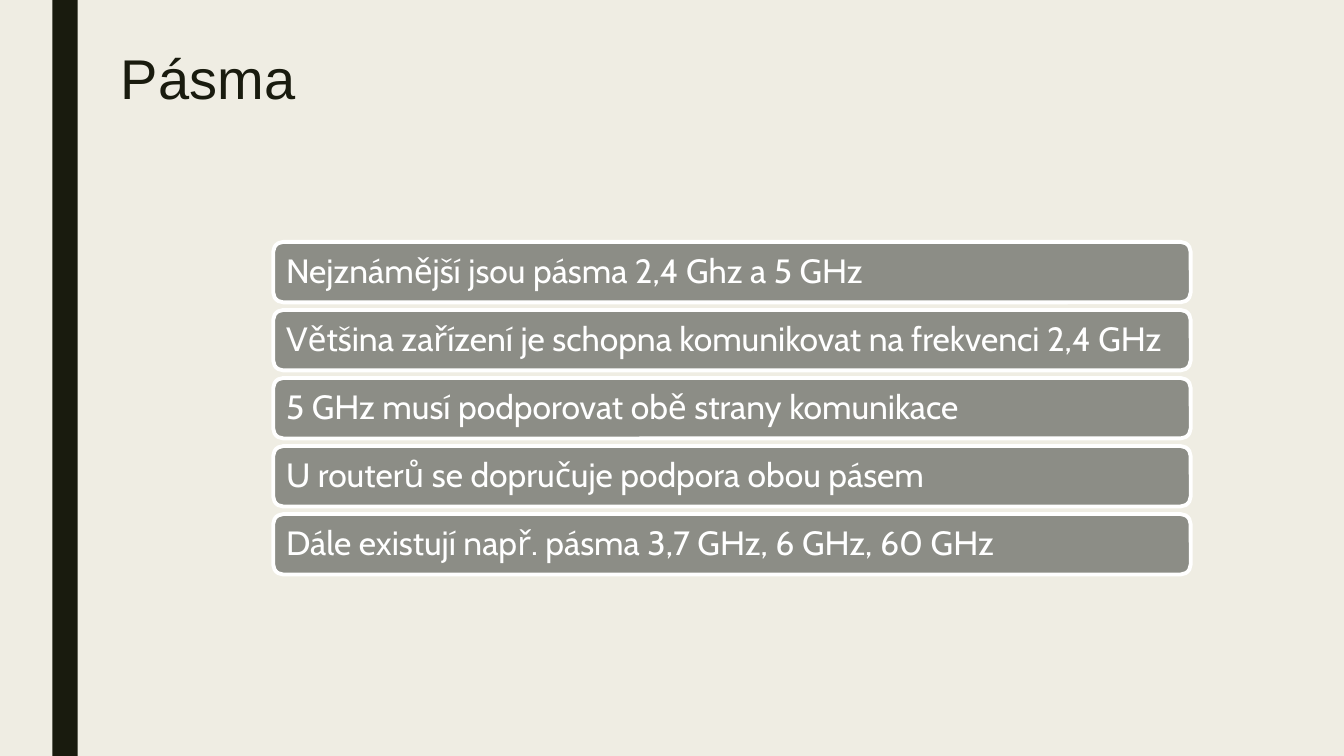
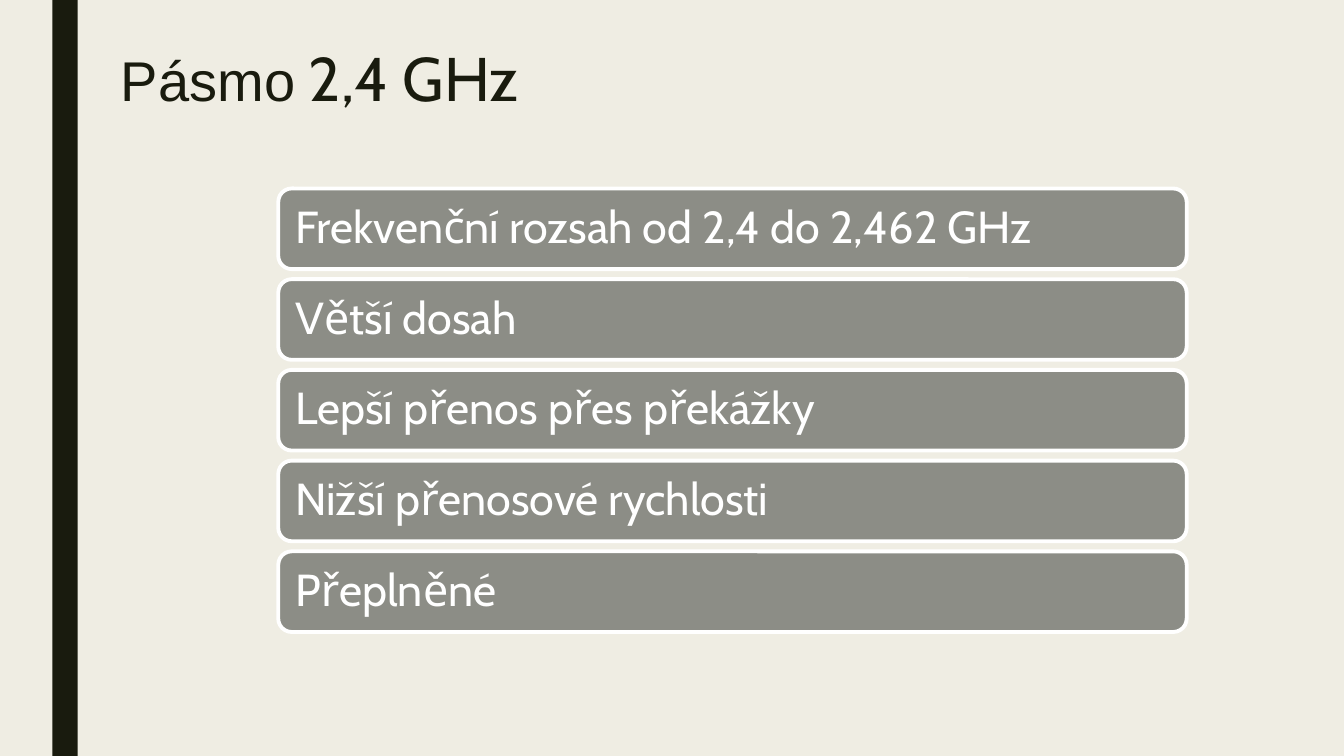
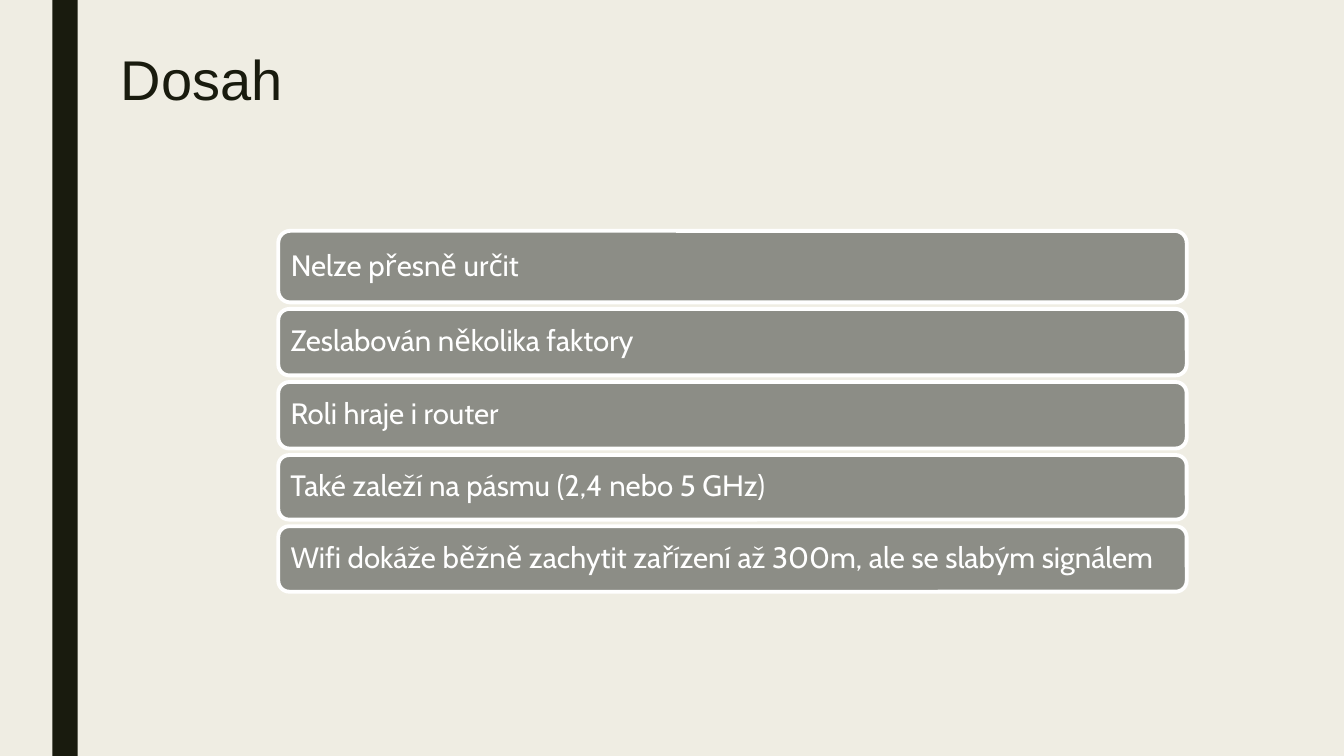
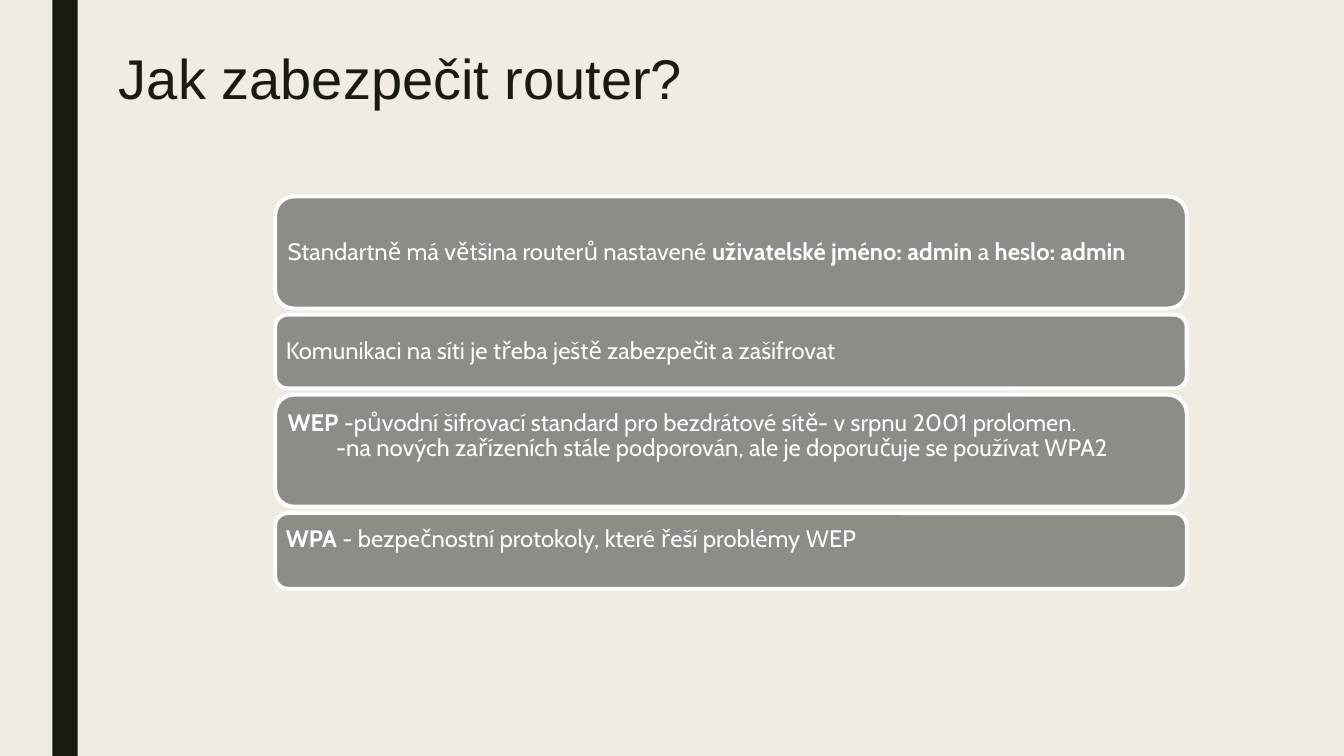
import pptx
import pptx.dml.color
import pptx.enum.shapes
import pptx.enum.text
import pptx.util

Inches = pptx.util.Inches
Pt = pptx.util.Pt
ANCHOR = pptx.enum.text.MSO_ANCHOR

CREAM, DARK, GREY, WHITE = "EFEDE3", "191B0E", "8C8D86", "FFFFFF"
TITLE_FONT, BODY_FONT = "Arial", "Cabin"
HANGING = "\t"  # marks a paragraph that is indented under the one before

BANDS = [
    "Nejznámější jsou pásma 2,4 Ghz a 5 GHz",
    "Většina zařízení je schopna komunikovat na frekvenci 2,4 GHz",
    "5 GHz musí podporovat\u00a0obě strany komunikace",
    "U routerů se dopručuje podpora obou pásem",
    "Dále existují např. pásma 3,7 GHz, 6 GHz, 60 GHz",
]
BAND_24 = [
    "Frekvenční rozsah od 2,4 do 2,462 GHz",
    "Větší dosah",
    "Lepší přenos přes překážky",
    "Nižší přenosové rychlosti",
    "Přeplněné",
]
RANGE = [
    "Nelze přesně určit",
    "Zeslabován několika faktory",
    "Roli hraje i router",
    "Také zaleží na pásmu (2,4 nebo 5 GHz)",
    "Wifi dokáže běžně zachytit zařízení až 300m, ale se slabým signálem",
]
# Text between asterisks is bold.
SECURITY = [
    "Standartně má většina routerů nastavené *uživatelské jméno: admin* a *heslo: admin*",
    "Komunikaci na síti je třeba ještě zabezpečit a zašifrovat",
    "*WEP* -původní šifrovací standard pro bezdrátové sítě- v srpnu 2001 prolomen.\n"
    + HANGING + "-na nových zařízeních stále podporován, ale je doporučuje se používat WPA2",
    "*WPA* - bezpečnostní protokoly, které řeší problémy\u00a0WEP",
]


def rgb(value):
    """Turn a hex string into a colour."""
    return pptx.dml.color.RGBColor.from_string(value)


def set_font(font, name, size, color):
    """Set typeface, size in points and colour."""
    font.name, font.size = name, Pt(size)
    font.color.rgb = rgb(color)


def add_box(slide, kind, left, top, width, height, fill):
    """Add a flat filled shape without an outline; lengths in inches."""
    sp = slide.shapes.add_shape(kind, Inches(left), Inches(top), Inches(width), Inches(height))
    sp.shadow.inherit = False
    sp.fill.solid()
    sp.fill.fore_color.rgb = rgb(fill)
    sp.line.fill.background()
    return sp


def style_master(prs, slide):
    """Give the master its background and its dark side band."""
    master = prs.slide_master
    master.background.fill.solid()
    master.background.fill.fore_color.rgb = rgb(CREAM)
    band = add_box(slide, pptx.enum.shapes.MSO_SHAPE.RECTANGLE, 0.52, 0, 0.25, 7.5, DARK)
    master.shapes.element.insert(2, band.element)


def add_title_slide(prs, left, top, width, height, *parts):
    """Add a slide whose title is made of (text, font, size) parts."""
    slide = prs.slides.add_slide(prs.slide_layouts[5])
    title = slide.shapes.title
    title.left, title.top = Inches(left), Inches(top)
    title.width, title.height = Inches(width), Inches(height)
    tf = title.text_frame
    tf.word_wrap = True
    tf.auto_size = pptx.enum.text.MSO_AUTO_SIZE.NONE
    tf.vertical_anchor = ANCHOR.MIDDLE
    p = tf.paragraphs[0]
    p.alignment = pptx.enum.text.PP_ALIGN.LEFT
    p.line_spacing = 0.89
    for text, font, size in parts:
        r = p.add_run()
        r.text = text
        set_font(r.font, font, size, DARK)
    return slide


def fill_paragraph(p, text, size):
    """Write a paragraph, with bold runs and an indent where marked."""
    p.alignment = pptx.enum.text.PP_ALIGN.LEFT
    p.line_spacing = 0.9
    set_font(p.font, BODY_FONT, size, WHITE)
    if text.startswith(HANGING):
        p._p.get_or_add_pPr().set("marL", str(Inches(0.48)))
    for i, part in enumerate(text.strip(HANGING).split("*")):
        if part:
            r = p.add_run()
            r.text = part
            r.font.bold = i % 2 == 1


def add_bar(slide, text, left, top, width, height, size, inset, anchor):
    """Add a rounded bar that holds one or more paragraphs."""
    kind = pptx.enum.shapes.MSO_SHAPE.ROUNDED_RECTANGLE
    sp = add_box(slide, kind, left, top, width, height, GREY)
    sp.line.color.rgb = rgb(WHITE)
    sp.line.width = Pt(2.75)
    tf = sp.text_frame
    tf.word_wrap = True
    tf.vertical_anchor = anchor
    tf.margin_left = tf.margin_right = tf.margin_top = tf.margin_bottom = Inches(inset)
    for i, line in enumerate(text.split("\n")):
        p = tf.add_paragraph() if i else tf.paragraphs[0]
        fill_paragraph(p, line, size)
    if anchor == ANCHOR.TOP:
        tf.paragraphs[0].line_spacing = 1.0


def add_bars(slide, texts, left, width, top, bottom, heights, size, inset, top_from=None):
    """Stack bars with equal gaps; from index top_from text sits at the top."""
    gap = (bottom - top - sum(heights)) / (len(heights) - 1)
    for i, (text, height) in enumerate(zip(texts, heights)):
        at_top = top_from is not None and i >= top_from
        anchor = ANCHOR.TOP if at_top else ANCHOR.MIDDLE
        add_bar(slide, text, left, top, width, height, size, inset, anchor)
        top += height + gap


def main():
    """Build the four slides."""
    prs = pptx.Presentation()
    prs.slide_width, prs.slide_height = Inches(13.33), Inches(7.5)

    slide = add_title_slide(prs, 1.1, 0.43, 3.39, 0.76, ("Pásma", TITLE_FONT, 40))
    style_master(prs, slide)
    add_bars(slide, BANDS, 2.71, 9.1, 2.4, 5.7, [0.6] * 5, 24, 0.1)

    slide = add_title_slide(prs, 1.1, 0.42, 4.37, 0.79,
                            ("Pásmo", TITLE_FONT, 40), (" 2,4 GHz", BODY_FONT, 44))
    add_bars(slide, BAND_24, 2.76, 9.01, 1.87, 6.27, [0.8] * 5, 32, 0.13)

    slide = add_title_slide(prs, 1.1, 0.42, 1.9, 0.79, ("Dosah", TITLE_FONT, 40))
    add_bars(slide, RANGE, 2.76, 9.01, 2.29, 5.87, [0.71, 0.66, 0.66, 0.64, 0.65], 21, 0.09)

    slide = add_title_slide(prs, 1.08, 0.43, 5.96, 0.75,
                            ("Jak zabezpečit router?", TITLE_FONT, 40))
    add_bars(slide, SECURITY, 2.73, 9.04, 1.95, 5.84, [1.11, 0.73, 1.11, 0.75], 17, 0.07,
             top_from=2)

    prs.save("out.pptx")


main()
